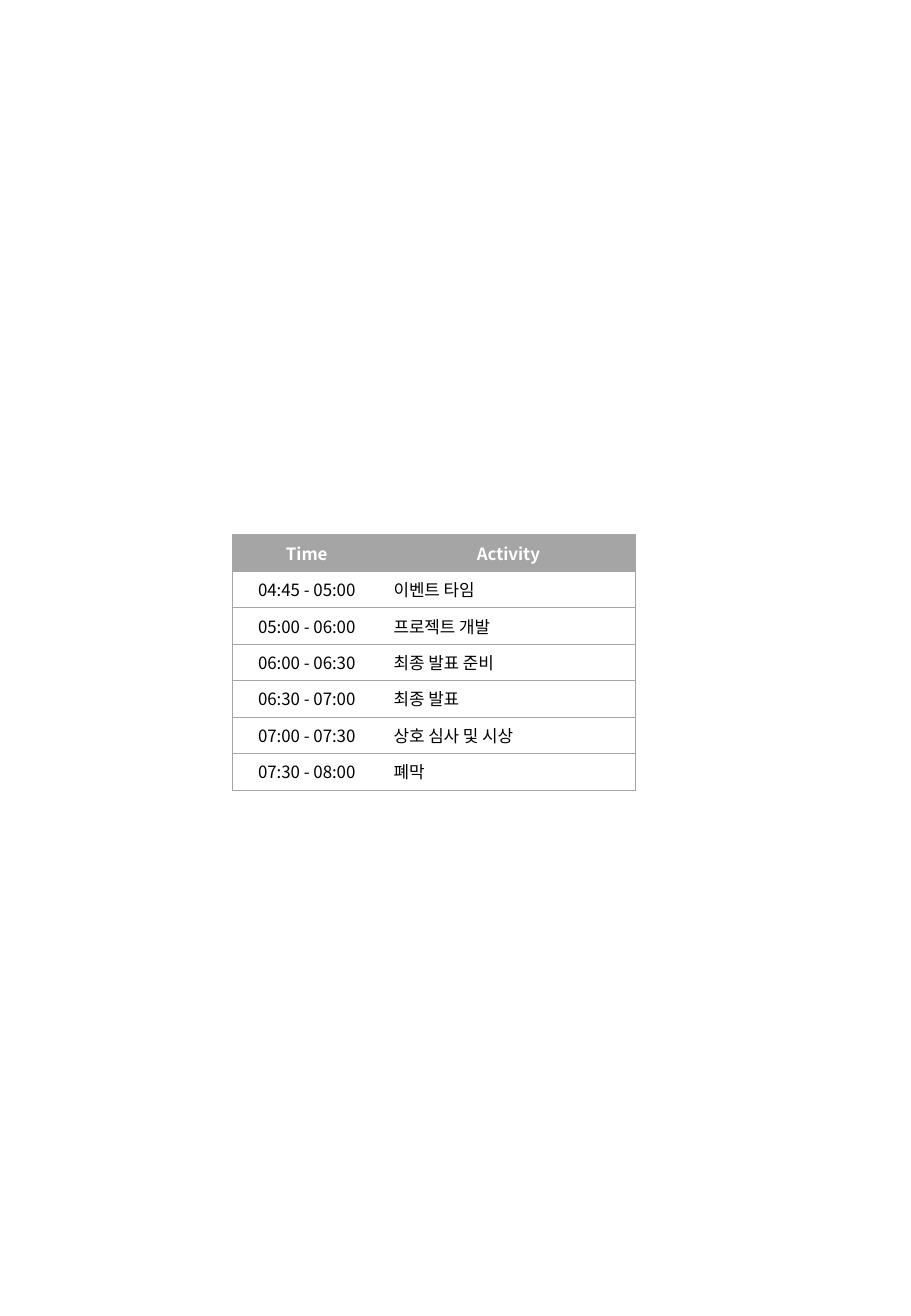
from dataclasses import dataclass

from lxml.etree import SubElement
from pptx import Presentation
from pptx.dml.color import RGBColor as Rgb
from pptx.enum.text import MSO_ANCHOR as Anchor, PP_ALIGN as Align
from pptx.oxml.ns import qn
from pptx.util import Pt


@dataclass(frozen=True)
class Theme:
    font: str = "Noto Sans CJK KR"
    size: float = 10
    grey: str = "A5A5A5"
    white: str = "FFFFFF"
    black: str = "000000"
    rule_width: float = 0.5


THEME = Theme()
HEADINGS = ("Time", "Activity")
SCHEDULE = [
    ("04:45 - 05:00", "이벤트 타임"),
    ("05:00 - 06:00", "프로젝트 개발"),
    ("06:00 - 06:30", "최종 발표 준비"),
    ("06:30 - 07:00", "최종 발표"),
    ("07:00 - 07:30", "상호 심사 및 시상"),
    ("07:30 - 08:00", "폐막"),
]
LEFT, TOP = 137.5, 316.8
COLUMN_WIDTHS = (88.6, 150.5)
ROW_HEIGHT = 18


def set_borders(cell, ruled_sides):
    properties = cell._tc.get_or_add_tcPr()
    for side in "LRTB":
        border = SubElement(properties, qn(f"a:ln{side}"), w=str(Pt(THEME.rule_width)))
        if side in ruled_sides:
            fill = SubElement(border, qn("a:solidFill"))
            SubElement(fill, qn("a:srgbClr"), val=THEME.grey)
        else:
            SubElement(border, qn("a:noFill"))


def write_cell(cell, text, fill, color, bold, alignment):
    cell.vertical_anchor = Anchor.MIDDLE
    cell.fill.solid()
    cell.fill.fore_color.rgb = Rgb.from_string(fill)
    paragraph = cell.text_frame.paragraphs[0]
    paragraph.alignment = alignment
    run = paragraph.add_run()
    run.text = text
    formats = {"name": THEME.font, "size": Pt(THEME.size), "bold": bold}
    for attribute, value in formats.items():
        setattr(run.font, attribute, value)
    run.font.color.rgb = Rgb.from_string(color)
    SubElement(run._r.get_or_add_rPr(), qn("a:ea"), typeface=THEME.font)


def add_schedule(slide):
    entries = [HEADINGS, *SCHEDULE]
    schedule = slide.shapes.add_table(
        len(entries), len(HEADINGS), Pt(LEFT), Pt(TOP),
        Pt(sum(COLUMN_WIDTHS)), Pt(ROW_HEIGHT * len(entries)),
    ).table
    schedule.horz_banding = False
    for column, width in zip(schedule.columns, COLUMN_WIDTHS):
        column.width = Pt(width)
    for row, entry in enumerate(entries):
        is_heading = row == 0
        fill, color = (THEME.grey, THEME.white) if is_heading else (THEME.white, THEME.black)
        for column, text in enumerate(entry):
            is_time = column == 0
            cell = schedule.cell(row, column)
            set_borders(cell, "LTB" if is_time else "RTB")
            alignment = Align.CENTER if is_heading or is_time else Align.LEFT
            write_cell(cell, text, fill, color, is_heading, alignment)


def main():
    deck = Presentation()
    deck.slide_width, deck.slide_height = Pt(540), Pt(780)
    slide = deck.slides.add_slide(deck.slide_layouts[6])
    add_schedule(slide)
    deck.save("out.pptx")


main()
